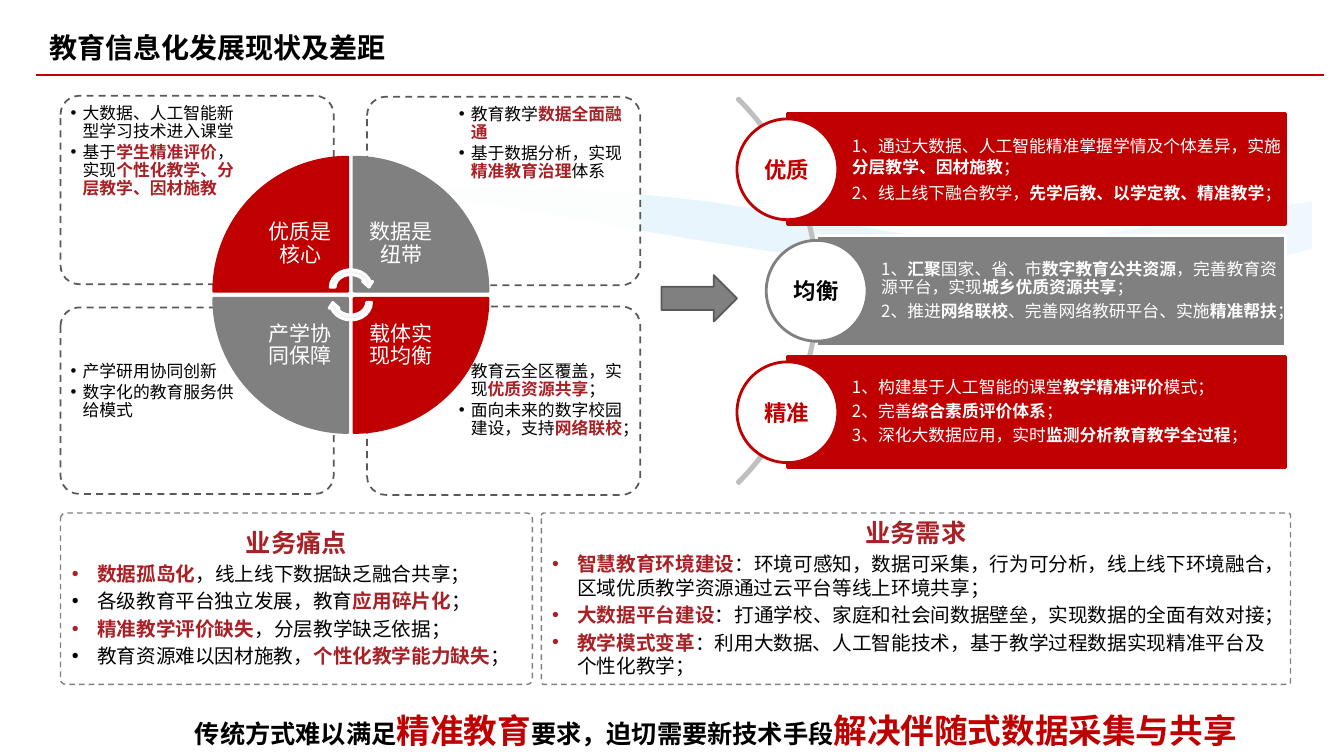
"""Build the slide on the state and gaps of education informatization."""
from lxml import etree
from pptx import Presentation
from pptx.dml.color import RGBColor
from pptx.enum.dml import MSO_LINE
from pptx.enum.shapes import MSO_CONNECTOR, MSO_SHAPE
from pptx.enum.text import MSO_ANCHOR, PP_ALIGN
from pptx.oxml.ns import qn
from pptx.util import Inches, Pt

ROUND, RECT, OVAL = MSO_SHAPE.ROUNDED_RECTANGLE, MSO_SHAPE.RECTANGLE, MSO_SHAPE.OVAL
WEDGE, LOOP, ARC = MSO_SHAPE.PIE_WEDGE, MSO_SHAPE.CIRCULAR_ARROW, MSO_SHAPE.BLOCK_ARC
ARROW, DASH, STRAIGHT = MSO_SHAPE.RIGHT_ARROW, MSO_LINE.DASH, MSO_CONNECTOR.STRAIGHT
LEFT, CENTER = PP_ALIGN.LEFT, PP_ALIGN.CENTER
TOP, MIDDLE = MSO_ANCHOR.TOP, MSO_ANCHOR.MIDDLE


class Theme:
    font = "Noto Sans CJK SC"
    red, crimson, gray, dark = "C00000", "A72126", "808080", "595959"
    silver, pale, white, black, sky = "BFBFBF", "F2F2F2", "FFFFFF", "000000", "C6E7FC"
    small, body, wedge, label, head, title, accent = 12, 14, 15, 16, 18, 20, 24


TITLE = "教育信息化发展现状及差距"
FOOTER = "传统方式难以满足*精准教育*要求，迫切需要新技术手段*解决伴随式数据采集与共享*"

PANELS = [
    (0.6, 3.05, 1.85, 0.65, 3.55, ["产学研用协同创新", "数字化的教育服务供给模式"]),
    (3.64, 3.04, 1.87, 4.5, 3.55,
     ["教育云全区覆盖，实现*优质资源共享*；", "面向未来的数字校园建设，支持*网络联校*；"]),
    (3.64, 0.96, 1.87, 4.5, 1.0, ["教育教学*数据全面融通*", "基于数据分析，实现*精准教育治理*体系"]),
    (0.6, 0.95, 1.87, 0.65, 0.99,
     ["大数据、人工智能新型学习技术进入课堂",
      "基于*学生精准评价*，实现*个性化教学、分层教学、因材施教*"]),
]

WEDGES = [
    ("优质是核心", 0, 0, Theme.red),
    ("数据是纽带", 1, 0, Theme.gray),
    ("载体实现均衡", 1, 1, Theme.red),
    ("产学协同保障", 0, 1, Theme.gray),
]

GOALS = [
    ("优质", 7.81, Theme.red, Theme.red, Theme.red, 1.0,
     ["1、通过大数据、人工智能精准掌握学情及个体差异，实施*分层教学、因材施教*；",
      "2、线上线下融合教学，*先学后教、以学定教、精准教学*；"]),
    ("均衡", 8.1, Theme.gray, Theme.white, Theme.black, 0.9,
     ["1、*汇聚*国家、省、市*数字教育公共资源*，完善教育资源平台，实现*城乡优质资源共享*；",
      "2、推进*网络联校*、完善网络教研平台、实施*精准帮扶*；"]),
    ("精准", 7.81, Theme.red, Theme.red, Theme.red, 0.9,
     ["1、构建基于人工智能的课堂*教学精准评价*模式；", "2、完善*综合素质评价体系*；",
      "3、深化大数据应用，实时*监测分析教育教学全过程*；"]),
]

BUSINESS = [
    (0.6, 4.68, 0.031, "业务痛点",
     ["*数据孤岛化*，线上线下数据缺乏融合共享；", "各级教育平台独立发展，教育*应用碎片化*；",
      "*精准教学评价缺失*，分层教学缺乏依据；", "教育资源难以因材施教，*个性化教学能力缺失*；"]),
    (5.37, 7.43, 0.014, "业务需求",
     ["*智慧教育环境建设*：环境可感知，数据可采集，行为可分析，线上线下环境融合，"
      "区域优质教学资源通过云平台等线上环境共享；",
      "*大数据平台建设*：打通学校、家庭和社会间数据壁垒，实现数据的全面有效对接；",
      "*教学模式变革*：利用大数据、人工智能技术，基于教学过程数据实现精准平台及个性化教学；"]),
]

WAVES = [
    (29, [(13.01, 2), (12.08, 2.13), (11.47, 2.23), (10.38, 2.42), (8.82, 2.65), (9.76, 2.74),
          (10.71, 2.78), (11.63, 2.74), (12.38, 2.63), (13.01, 2.47)]),
    (40, [(3.82, 1.91), (4.59, 1.86), (5.32, 1.86), (6.19, 1.91), (7.03, 2), (8.39, 2.22),
          (9.41, 2.4), (10.34, 2.54), (11.16, 2.65), (11.9, 2.73), (10.9, 2.78), (9.81, 2.75),
          (8.67, 2.64), (7.55, 2.48), (6.54, 2.32), (5.39, 2.11), (4.56, 1.99)]),
]


def paint(sp, fill=None, line=None, width=1.0, dash=None, alpha=None):
    sp.shadow.inherit = False
    if fill:
        sp.fill.solid()
        sp.fill.fore_color.rgb = RGBColor.from_string(fill)
    else:
        sp.fill.background()
    if alpha:
        clr = sp.fill._xPr.find(qn("a:solidFill"))[0]
        etree.SubElement(clr, qn("a:alpha"), val=str(alpha * 1000))
    if line:
        sp.line.color.rgb = RGBColor.from_string(line)
        sp.line.width = Pt(width)
        sp.line.dash_style = dash
    else:
        sp.line.fill.background()


def shape(kind, box, adj=(), rot=0, **look):
    sp = s.shapes.add_shape(kind, *map(Inches, box))
    for i, value in enumerate(adj):
        sp.adjustments[i] = value
    sp.rotation = rot
    paint(sp, **look)
    return sp


def textbox(box, inset=(0.1, 0.05, 0.1, 0.05), anchor=TOP):
    return frame(s.shapes.add_textbox(*map(Inches, box)), inset, anchor)


def frame(sp, inset=(0.1, 0.05, 0.1, 0.05), anchor=MIDDLE):
    tf = sp.text_frame
    tf.word_wrap, tf.vertical_anchor = True, anchor
    tf.margin_left, tf.margin_top, tf.margin_right, tf.margin_bottom = map(Inches, inset)
    return tf


def write(tf, text, size=Theme.small, color=Theme.black, bold=False, strong=None, strong_size=None,
          align=LEFT, indent=0, spacing=None, before=0, after=0):
    p = tf.paragraphs[0] if not tf.paragraphs[0].runs else tf.add_paragraph()
    p.alignment, p.line_spacing = align, spacing
    p.space_before, p.space_after = Pt(before), Pt(after)
    if indent:
        pPr = p._p.get_or_add_pPr()
        pPr.set("marL", str(Inches(indent)))
        pPr.set("indent", str(-Inches(indent)))
        etree.SubElement(pPr, qn("a:buFont"), typeface="Arial")
        etree.SubElement(pPr, qn("a:buChar"), char="•")
    for i, part in enumerate(text.split("*")):
        if part:
            r = p.add_run()
            r.text = part
            r.font.size = Pt(strong_size or size) if i % 2 else Pt(size)
            r.font.bold = bold or i % 2 == 1
            r.font.color.rgb = RGBColor.from_string(strong or color if i % 2 else color)
            r.font.name = Theme.font
            etree.SubElement(r._r.get_or_add_rPr(), qn("a:ea"), typeface=Theme.font)


prs = Presentation()
prs.slide_width, prs.slide_height = Inches(13.33), Inches(7.5)
s = prs.slides.add_slide(prs.slide_layouts[6])

for alpha, points in WAVES:
    points = [(Inches(x), Inches(y)) for x, y in points]
    fb = s.shapes.build_freeform(*points[0])
    fb.add_line_segments(points[1:])
    paint(fb.convert_to_shape(), fill=Theme.sky, alpha=alpha)

for x, w, radius, heading, items in BUSINESS:
    tf = frame(shape(ROUND, (x, 5.09, w, 1.7), [radius], line=Theme.gray, dash=DASH))
    write(tf, heading, size=Theme.head, color=Theme.crimson, bold=True, align=CENTER,
          spacing=Pt(20), before=3.6)
    for item in items:
        write(tf, item, size=Theme.body, strong=Theme.crimson, indent=0.25, before=2.8)

for x, y, h, text_x, text_y, items in PANELS:
    shape(ROUND, (x, y, 2.71, h), [0.1], fill=Theme.white, alpha=90,
          line=Theme.dark, width=1.25, dash=DASH)
    tf = textbox((text_x, text_y, 1.82, 1.32), inset=(0.05,) * 4)
    for item in items:
        write(tf, item, strong=Theme.crimson, indent=0.12, spacing=0.9, after=1.8)

for i, (name, col, row, color) in enumerate(WEDGES):
    shape(WEDGE, (2.12 + 1.39 * col, 1.56 + 1.4 * row, 1.33, 1.33), rot=90 * i,
          fill=color, line=color, width=2)
    tf = textbox((2.51 + col, 1.95 + 1.01 * row, 0.94, 0.94), inset=(0.12,) * 4, anchor=MIDDLE)
    write(tf, name, size=Theme.wedge, color=Theme.white, align=CENTER, spacing=0.9)
for y, rot in ((2.65, 0), (2.8, 180)):
    shape(LOOP, (3.25, y, 0.46, 0.4), rot=rot, fill=Theme.pale, line=Theme.white, width=2)

shape(ARC, (2.71, 0.18, 5.41, 5.41), [189, 27, 0.004], fill=Theme.gray, line=Theme.silver, width=2)
for i, (name, x, color, edge, ink, spacing, items) in enumerate(GOALS):
    y = 1.13 + 1.205 * i
    box = (x, y, 12.75 - x, 1.1)
    shape(RECT, box, fill=color, line=edge, width=2)
    tf = textbox(box, inset=(0.64, 0.03, 0.03, 0.03), anchor=MIDDLE)
    for item in items:
        write(tf, item, color=Theme.white, spacing=spacing, after=4.2)
    shape(OVAL, (x - 0.5, y + 0.05, 1, 1), fill=Theme.white, line=color, width=2)
    write(textbox((x - 0.35, y + 0.37, 0.69, 0.37)), name, size=Theme.label, color=ink,
          bold=True, align=CENTER)

shape(ARROW, (6.56, 2.73, 0.75, 0.46), fill=Theme.gray, line=Theme.dark, width=1.25)

rule = s.shapes.add_connector(STRAIGHT, Inches(0.36), Inches(0.74), Inches(13.13), Inches(0.74))
rule.line.color.rgb = RGBColor.from_string(Theme.red)
rule.line.width = Pt(1.5)
etree.SubElement(rule._element.spPr, qn("a:effectLst"))

write(textbox((0.39, 0.25, 4.61, 0.77)), TITLE, size=Theme.title, bold=True)
write(textbox((1.82, 6.99, 10.56, 0.5)), FOOTER, size=Theme.head, bold=True, strong=Theme.red,
      strong_size=Theme.accent, align=CENTER)

prs.save("out.pptx")
